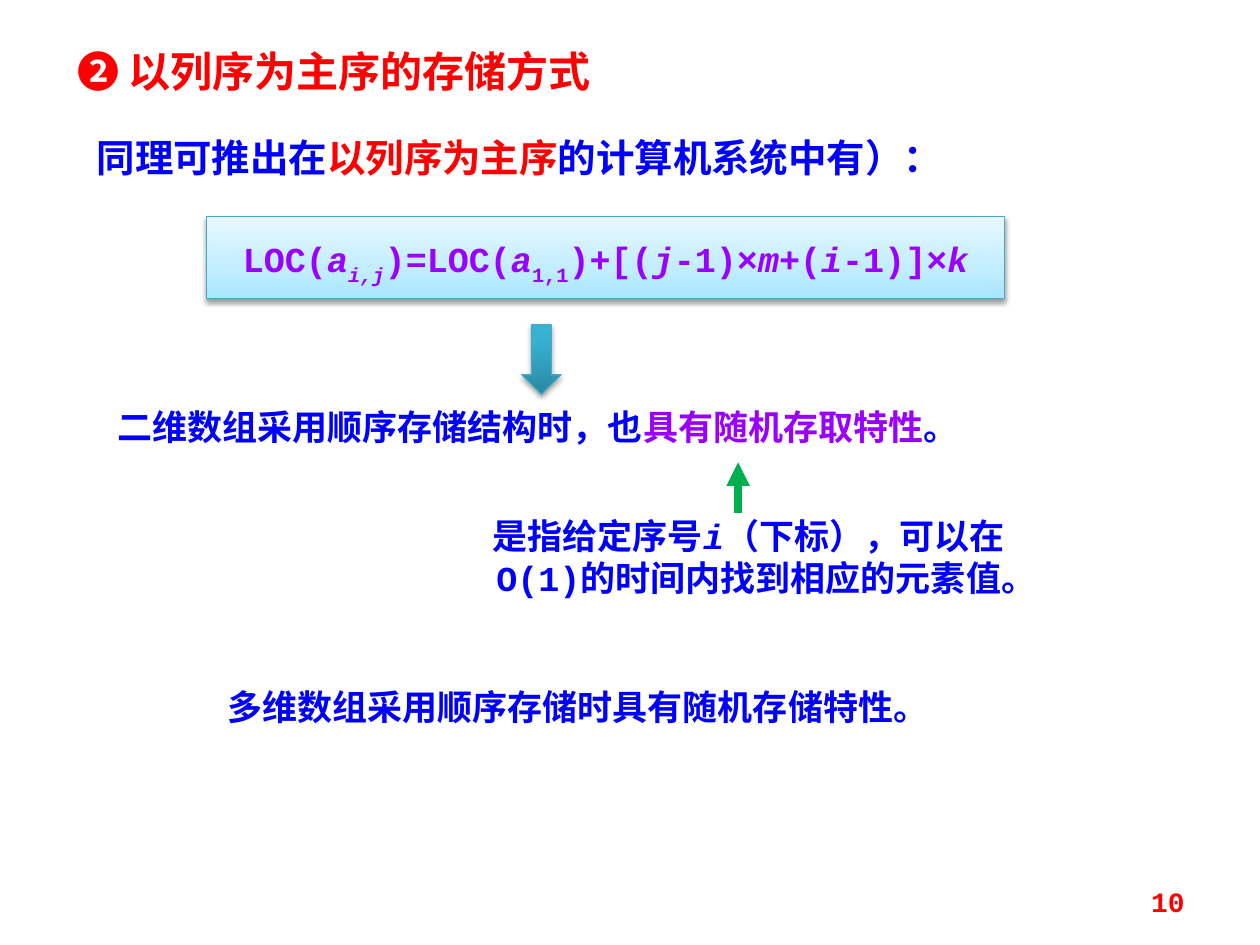
from lxml.etree import SubElement
from pptx import Presentation
from pptx.dml.color import RGBColor
from pptx.enum.shapes import MSO_CONNECTOR, MSO_SHAPE
from pptx.enum.text import MSO_ANCHOR, PP_ALIGN
from pptx.oxml import parse_xml
from pptx.oxml.ns import nsdecls, qn
from pptx.util import Cm, Pt

BLUE = RGBColor(0x00, 0x00, 0xFF)
RED = RGBColor(0xFF, 0x00, 0x00)
PURPLE = RGBColor(0x99, 0x00, 0xFF)
GREEN = RGBColor(0x00, 0xB0, 0x50)
TEAL = RGBColor(0x46, 0xAA, 0xC5)
PALE_STOPS = [
    (0, RGBColor(0xA7, 0xE6, 0xFF)),
    (35, RGBColor(0xC1, 0xED, 0xFF)),
    (100, RGBColor(0xE7, 0xF8, 0xFF)),
]
DEEP_STOPS = [
    (0, RGBColor(0x2A, 0x88, 0xA2)),
    (80, RGBColor(0x37, 0xB1, 0xD2)),
    (100, RGBColor(0x34, 0xB4, 0xD6)),
]
ITALIC = {"italic": True}
SUB = {"baseline": -30}


class SlideBuilder:
    """Holds the current slide and the text style shared by its elements."""

    font = {"name": "Courier New", "size": Pt(20), "bold": True}

    def __init__(self, slide):
        self.s = slide

    def add_runs(self, sp, runs, color, size=20, align=PP_ALIGN.LEFT,
                 anchor=MSO_ANCHOR.TOP, spacing=None):
        """Fill sp with one paragraph of (text, format changes) runs."""
        tf = sp.text_frame
        tf.word_wrap = True
        tf.vertical_anchor = anchor
        p = tf.paragraphs[0]
        p.alignment = align
        if spacing:
            p.line_spacing = spacing
        for text, changes in runs:
            r = p.add_run()
            r.text = text
            style = {**self.font, "size": Pt(size), "color": color, **changes}
            r.font.color.rgb = style.pop("color")
            baseline = style.pop("baseline", None)
            if baseline:
                r._r.get_or_add_rPr().set("baseline", str(baseline * 1000))
            for name, value in style.items():
                setattr(r.font, name, value)

    def title(self, box, text, color, size):
        sp = self.s.shapes.title
        sp.left, sp.top, sp.width, sp.height = map(Cm, box)
        self.add_runs(sp, [(text, {})], color, size)

    def text(self, box, runs, color=BLUE, **style):
        sp = self.s.shapes.add_textbox(*map(Cm, box))
        self.add_runs(sp, runs, color, **style)

    def shape(self, kind, box, stops, shadow_alpha, shadow_distance):
        """Add a shape with an upward gradient and a soft shadow below it."""
        sp = self.s.shapes.add_shape(kind, *map(Cm, box))
        sp.line.color.rgb = TEAL
        sp.line.width = Pt(0.75)
        sp.shadow.inherit = False
        gs = "".join(
            f'<a:gs pos="{pos * 1000}"><a:srgbClr val="{color}"/></a:gs>'
            for pos, color in stops)
        fill = parse_xml(
            f'<a:gradFill {nsdecls("a")} rotWithShape="1"><a:gsLst>{gs}'
            '</a:gsLst><a:lin ang="16200000" scaled="0"/></a:gradFill>')
        spPr = sp._element.spPr
        spPr.find(qn("a:prstGeom")).addnext(fill)
        spPr.find(qn("a:effectLst")).append(parse_xml(
            f'<a:outerShdw {nsdecls("a")} blurRad="{Pt(3.1)}" '
            f'dist="{Pt(shadow_distance)}" dir="5400000" rotWithShape="0">'
            f'<a:srgbClr val="000000"><a:alpha val="{shadow_alpha * 1000}"/>'
            '</a:srgbClr></a:outerShdw>'))
        return sp

    def formula(self, box, runs):
        sp = self.shape(MSO_SHAPE.RECTANGLE, box, PALE_STOPS, 38, 1.6)
        tf = sp.text_frame
        tf.margin_top = tf.margin_bottom = Cm(0.41)
        self.add_runs(sp, runs, PURPLE, align=PP_ALIGN.CENTER)

    def arrow(self, start, end, color, width):
        c = self.s.shapes.add_connector(
            MSO_CONNECTOR.STRAIGHT, *map(Cm, start + end))
        c.line.color.rgb = color
        c.line.width = Pt(width)
        SubElement(c.line._get_or_add_ln(), qn("a:tailEnd"), type="triangle")
        SubElement(c._element.spPr, qn("a:effectLst"))


def main():
    prs = Presentation()
    prs.slide_width, prs.slide_height = Cm(25.4), Cm(19.05)
    b = SlideBuilder(prs.slides.add_slide(prs.slide_layouts[5]))

    b.title((1.3, 0.79, 11.61, 1.27), "❷ 以列序为主序的存储方式", RED, 24)
    b.text((1.7, 2.39, 20.73, 1.4), [
        ("同理可推出在", {}),
        ("以列序为主序", {"color": RED}),
        ("的计算机系统中有）：", {}),
    ], size=22, align=PP_ALIGN.JUSTIFY, spacing=1.2)

    b.formula((4.17, 4.37, 16.08, 1.65), [
        ("LOC(", {}), ("a", ITALIC), ("i,j", {**ITALIC, **SUB}),
        (")=LOC(", {}), ("a", ITALIC), ("1,1", SUB),
        (")+[(", {}), ("j", ITALIC), ("-1)×", {}), ("m", ITALIC),
        ("+(", {}), ("i", ITALIC), ("-1)]×", {}), ("k", ITALIC),
    ])

    b.shape(MSO_SHAPE.DOWN_ARROW, (10.52, 6.55, 0.79, 1.4), DEEP_STOPS, 35, 1.8)
    b.text((2.11, 8.05, 20.52, 1.12), [
        ("二维数组采用顺序存储结构时，也", {}),
        ("具有随机存取特性", {"color": PURPLE}),
        ("。", {}),
    ])
    b.arrow((14.88, 10.34), (14.88, 9.32), GREEN, 4.5)
    b.text((9.53, 10.24, 11.13, 1.96), [
        ("是指给定序号", {}),
        ("i", ITALIC),
        ("（下标），可以在O(1)的时间内找到相应的元素值。", {}),
    ], align=PP_ALIGN.CENTER)

    b.text((4.17, 13.69, 17.65, 1.12),
           [(" 多维数组采用顺序存储时具有随机存储特性。", {})])
    b.text((18.21, 17.65, 5.92, 1.02), [("10", {})], RED, size=16,
           align=PP_ALIGN.RIGHT, anchor=MSO_ANCHOR.MIDDLE)

    prs.save("out.pptx")


if __name__ == "__main__":
    main()
